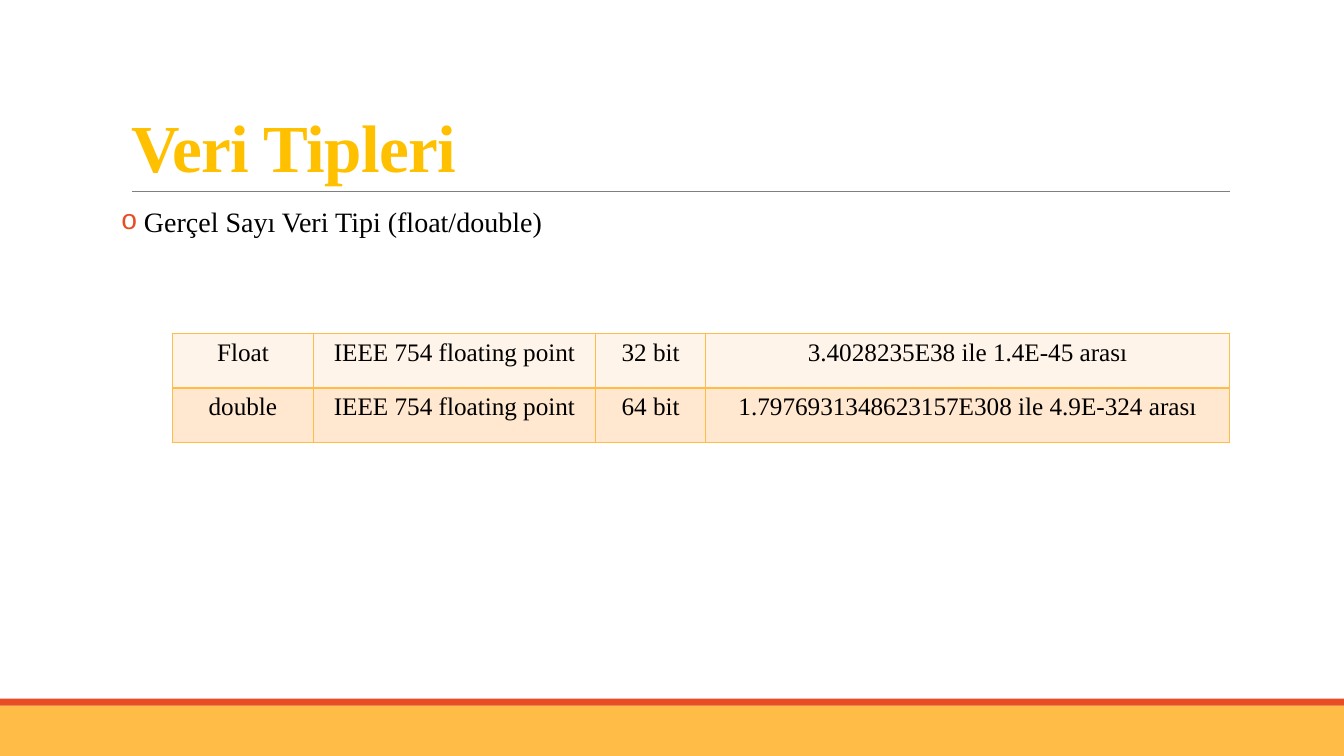
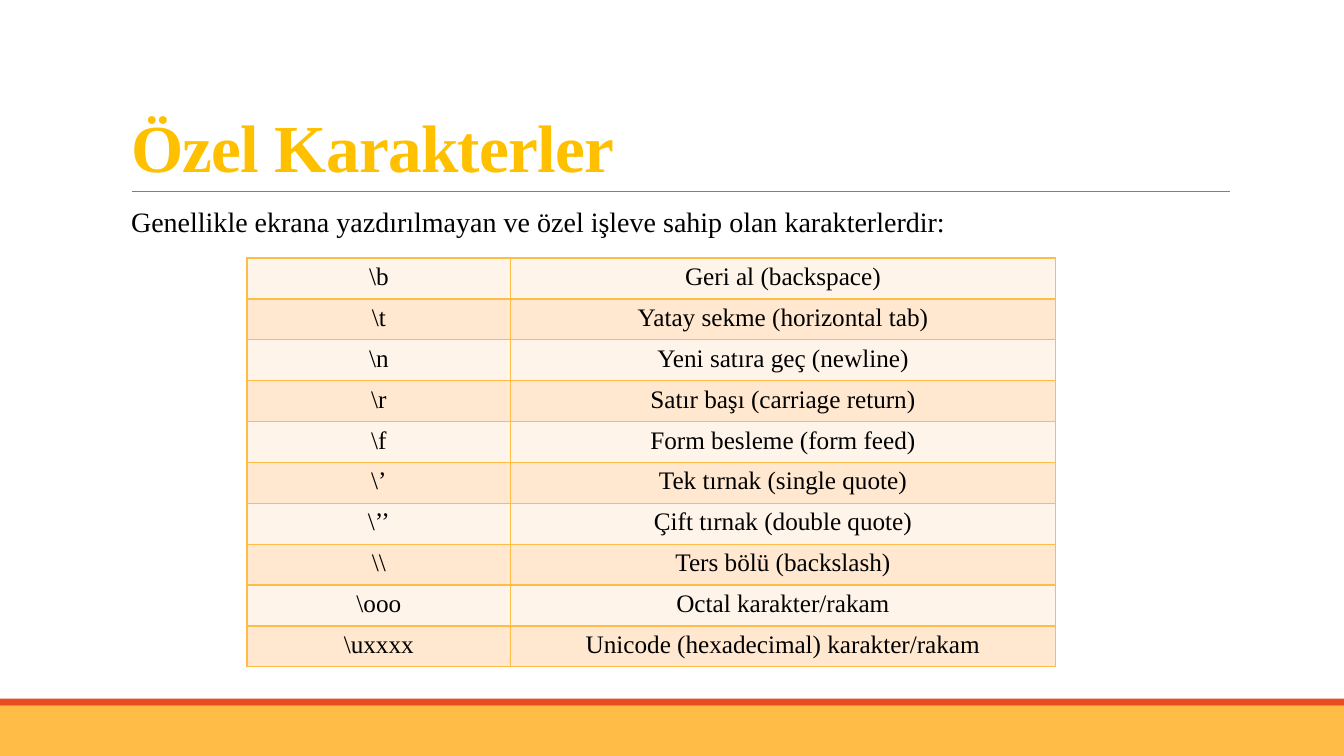
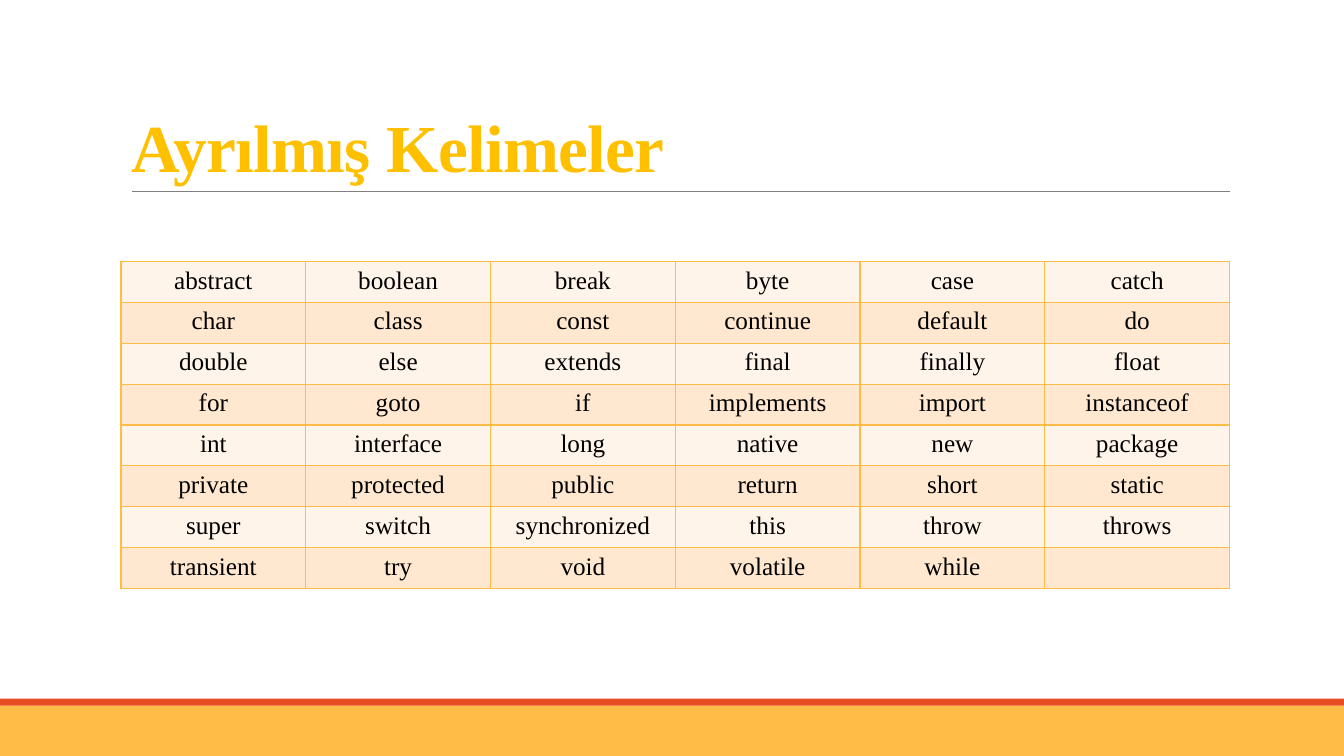
from lxml import etree
from pptx import Presentation
from pptx.dml.color import RGBColor
from pptx.enum.shapes import MSO_CONNECTOR, MSO_SHAPE
from pptx.enum.text import MSO_ANCHOR, MSO_AUTO_SIZE, PP_ALIGN
from pptx.oxml.ns import qn
from pptx.util import Pt

RECTANGLE = MSO_SHAPE.RECTANGLE
STRAIGHT = MSO_CONNECTOR.STRAIGHT
TOP, BOTTOM = MSO_ANCHOR.TOP, MSO_ANCHOR.BOTTOM
NO_FIT = MSO_AUTO_SIZE.NONE
LEFT, CENTER = PP_ALIGN.LEFT, PP_ALIGN.CENTER

COLORS = {
    "band": "FFBD47",
    "accent": "E84C22",
    "rule": "808080",
    "title": "FFC000",
    "text": "000000",
    "odd_row": "FFF4E9",
    "even_row": "FFE8CF",
}
FONT = "Times New Roman"
BULLET_FONT = "Courier New"
SLIDE_WIDTH, SLIDE_HEIGHT = 960, 540
TITLE_BOX = (86.4, 22.3, 792, 114.5)
INTRO_BOX = (86.4, 145.4, 792, 33)
TITLE_INSET = 7.9

TITLE_FONT = {"name": FONT, "size": Pt(48), "bold": True}
INTRO_FONT = {"name": FONT, "size": Pt(20)}
CELL_FONT = {"name": FONT, "size": Pt(18)}
TITLE_FRAME = {"vertical_anchor": BOTTOM, "auto_size": NO_FIT, "word_wrap": True}
INTRO_FRAME = {"vertical_anchor": TOP, "auto_size": NO_FIT, "word_wrap": True,
               "margin_left": 0, "margin_right": 0}
TITLE_PARAGRAPH = {"alignment": LEFT, "line_spacing": 0.85, "space_before": Pt(0)}
INTRO_PARAGRAPH = {"alignment": LEFT, "line_spacing": 0.9,
                   "space_before": Pt(0), "space_after": Pt(2)}

REAL_TYPES = [
    ["Float", "IEEE 754 floating point", "32 bit", "3.4028235E38 ile 1.4E-45 arası"],
    ["double", "IEEE 754 floating point", "64 bit",
     "1.7976931348623157E308 ile 4.9E-324 arası"],
]
ESCAPES = [
    [r"\b", "Geri al (backspace)"],
    [r"\t", "Yatay sekme (horizontal tab)"],
    [r"\n", "Yeni satıra geç (newline)"],
    [r"\r", "Satır başı (carriage return)"],
    [r"\f", "Form besleme (form feed)"],
    [r"\’", "Tek tırnak (single quote)"],
    [r"\’’", "Çift tırnak (double quote)"],
    [r"\\", "Ters bölü (backslash)"],
    [r"\ooo", "Octal karakter/rakam"],
    [r"\uxxxx", "Unicode (hexadecimal) karakter/rakam"],
]
KEYWORDS = [
    ["abstract", "boolean", "break", "byte", "case", "catch"],
    ["char", "class", "const", "continue", "default", "do"],
    ["double", "else", "extends", "final", "finally", "float"],
    ["for", "goto", "if", "implements", "import", "instanceof"],
    ["int", "interface", "long", "native", "new", "package"],
    ["private", "protected", "public", "return", "short", "static"],
    ["super", "switch", "synchronized", "this", "throw", "throws"],
    ["transient", "try", "void", "volatile", "while", ""],
]


def rgb(role):
    return RGBColor.from_string(COLORS[role])


def apply(target, values):
    for attribute, value in values.items():
        setattr(target, attribute, value)


def set_font(font, values, role):
    apply(font, values)
    font.color.rgb = rgb(role)


def place(part, box):
    apply(part, dict(zip(("left", "top", "width", "height"), map(Pt, box))))


def add_band(slide, box, role):
    band = slide.shapes.add_shape(RECTANGLE, *map(Pt, box))
    band.shadow.inherit = False
    band.fill.solid()
    band.fill.fore_color.rgb = rgb(role)
    band.line.fill.background()


def add_footer(slide):
    add_band(slide, (0, 504, SLIDE_WIDTH, 36), "band")
    add_band(slide, (0, 499, SLIDE_WIDTH, 5), "accent")


def add_title(slide, text, box):
    title = slide.shapes.title
    place(title, box)
    apply(title.text_frame, TITLE_FRAME)
    paragraph = title.text_frame.paragraphs[0]
    apply(paragraph, TITLE_PARAGRAPH)
    run = paragraph.add_run()
    run.text = text
    set_font(run.font, TITLE_FONT, "title")
    run.font._element.set("spc", "-50")

    left, top, width, height = box
    base = top + height
    rule = slide.shapes.add_connector(
        STRAIGHT, Pt(left + TITLE_INSET), Pt(base), Pt(left + width), Pt(base))
    rule.line.color.rgb = rgb("rule")
    rule.line.width = Pt(0.5)
    etree.SubElement(rule._element.spPr, qn("a:effectLst"))


def set_bullet(paragraph, bullet, indent):
    properties = paragraph._p.get_or_add_pPr()
    properties.set("marL", str(Pt(indent)))
    properties.set("indent", str(-Pt(indent) if bullet else 0))
    if not bullet:
        etree.SubElement(properties, qn("a:buNone"))
        return
    color = etree.SubElement(properties, qn("a:buClr"))
    etree.SubElement(color, qn("a:srgbClr"), val=COLORS["accent"])
    etree.SubElement(properties, qn("a:buFont"), typeface=BULLET_FONT)
    etree.SubElement(properties, qn("a:buChar"), char=bullet)


def add_intro(slide, text, bullet, indent, box):
    intro = slide.placeholders[1]
    place(intro, box)
    apply(intro.text_frame, INTRO_FRAME)
    paragraph = intro.text_frame.paragraphs[0]
    apply(paragraph, INTRO_PARAGRAPH)
    set_bullet(paragraph, bullet, indent)
    run = paragraph.add_run()
    run.text = text
    set_font(run.font, INTRO_FONT, "text")


def add_borders(cell):
    properties = cell._tc.get_or_add_tcPr()
    for side in ("lnL", "lnR", "lnT", "lnB"):
        border = etree.SubElement(properties, qn(f"a:{side}"), w=str(Pt(1)))
        fill = etree.SubElement(border, qn("a:solidFill"))
        etree.SubElement(fill, qn("a:srgbClr"), val=COLORS["band"])


def add_grid(slide, rows, origin, widths, row_height):
    size = (sum(widths), row_height * len(rows))
    grid = slide.shapes.add_table(
        len(rows), len(widths), *map(Pt, origin + size)).table
    apply(grid, {"first_row": False, "horz_banding": False})
    for column, width in zip(grid.columns, widths):
        column.width = Pt(width)
    for index, (row, texts) in enumerate(zip(grid.rows, rows)):
        row.height = Pt(row_height)
        for cell, text in zip(row.cells, texts):
            add_borders(cell)
            cell.fill.solid()
            cell.fill.fore_color.rgb = rgb("even_row" if index % 2 else "odd_row")
            cell.text = text
            paragraph = cell.text_frame.paragraphs[0]
            paragraph.alignment = CENTER
            set_font(paragraph.font, CELL_FONT, "text")
            for run in paragraph.runs:
                set_font(run.font, CELL_FONT, "text")


def add_table_slide(deck, title, grid, intro=None):
    slide = deck.slides.add_slide(deck.slide_layouts[1 if intro else 5])
    add_footer(slide)
    add_title(slide, title, TITLE_BOX)
    if intro:
        add_intro(slide, *intro, INTRO_BOX)
    add_grid(slide, *grid)


def main():
    deck = Presentation()
    apply(deck, {"slide_width": Pt(SLIDE_WIDTH), "slide_height": Pt(SLIDE_HEIGHT)})
    add_table_slide(
        deck, "Veri Tipleri",
        (REAL_TYPES, (123.1, 238.2), (100.8, 201.6, 78.5, 374.4), 39),
        ("Gerçel Sayı Veri Tipi (float/double)", "o", 16.4))
    add_table_slide(
        deck, "Özel Karakterler",
        (ESCAPES, (176.4, 184.3), (188.4, 389), 29.2),
        ("Genellikle ekrana yazdırılmayan ve özel işleve sahip olan karakterlerdir:",
         None, 7.2))
    add_table_slide(
        deck, "Ayrılmış Kelimeler",
        (KEYWORDS, (86.4, 186.8), (132,) * 6, 29.2))
    deck.save("out.pptx")


if __name__ == "__main__":
    main()
